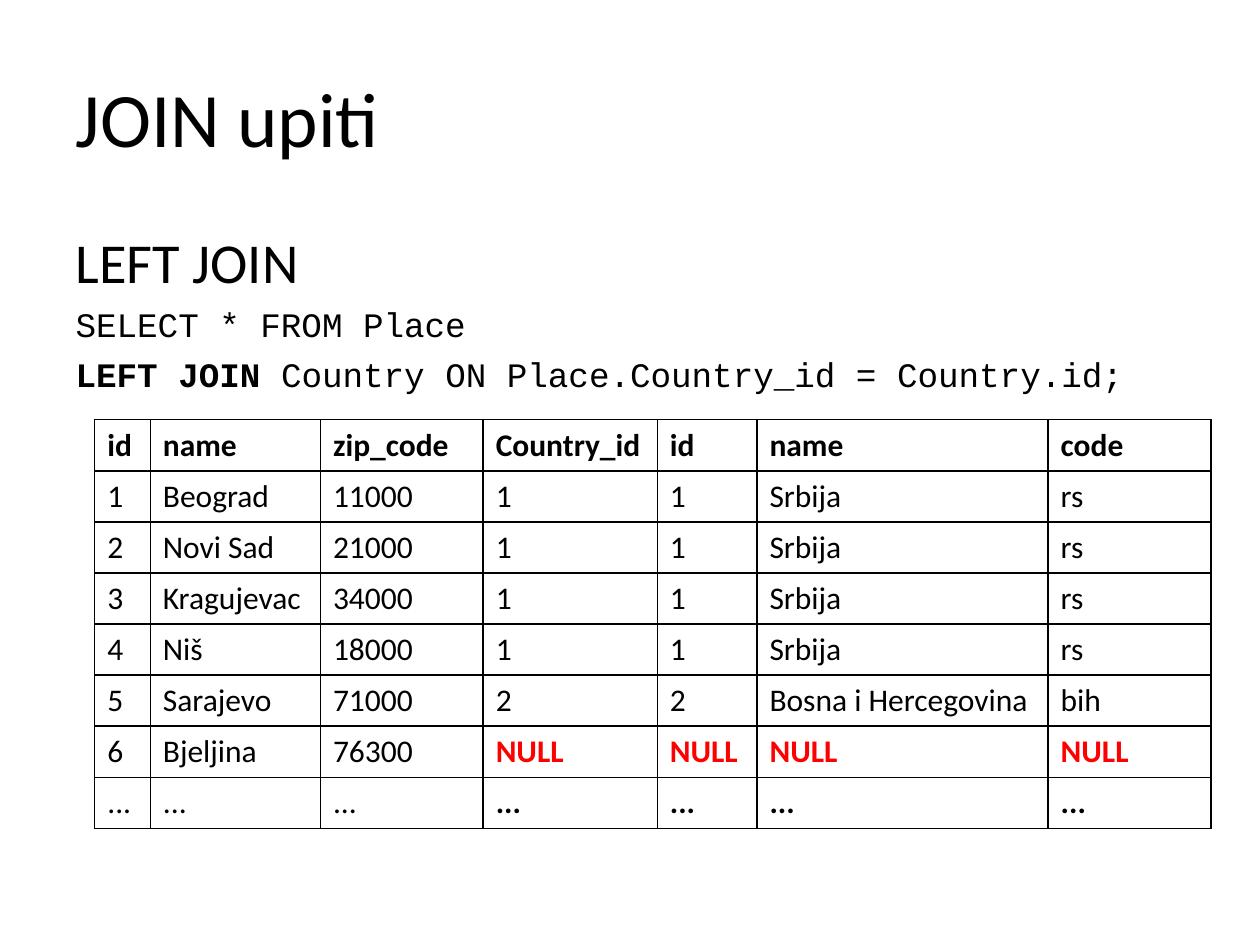
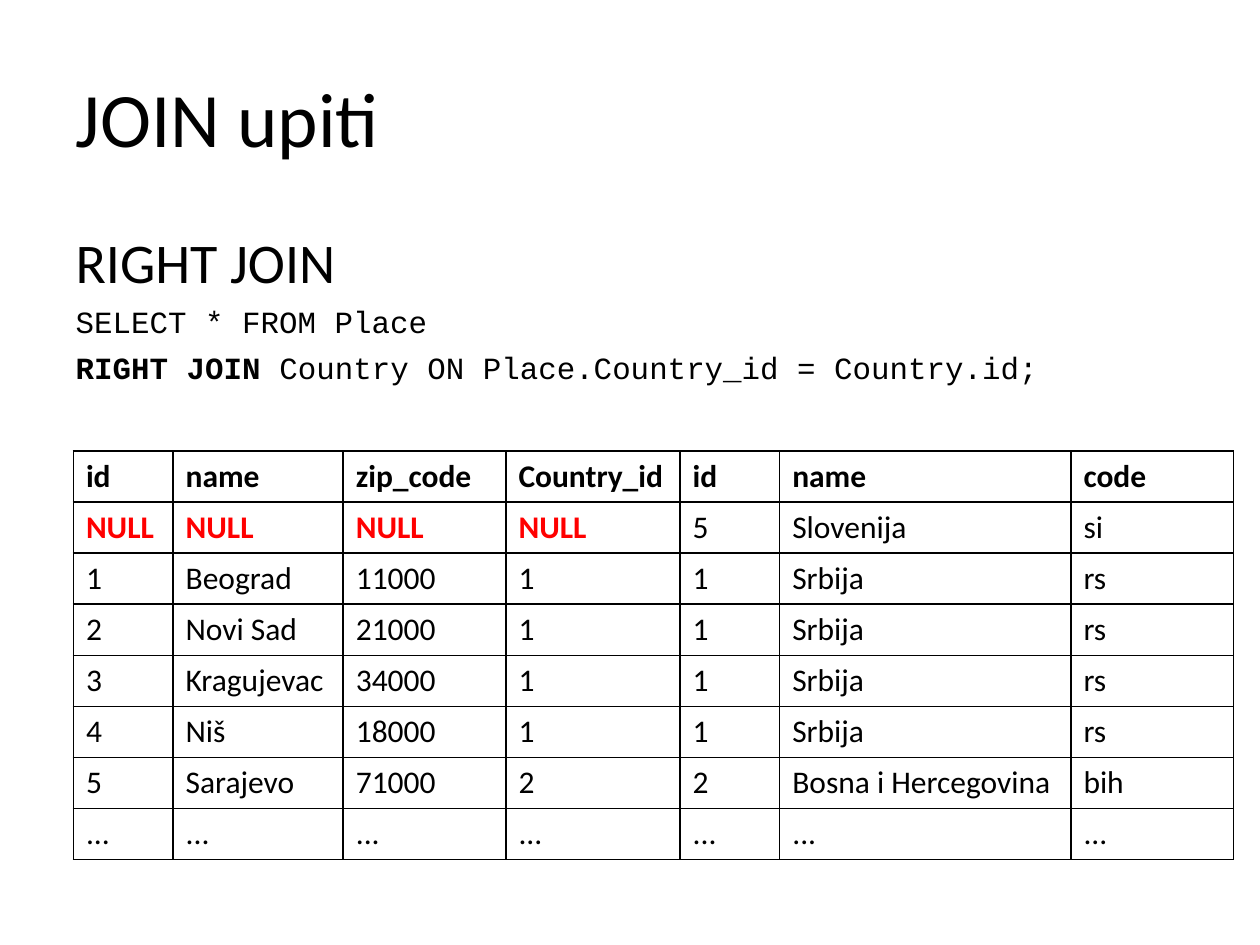
import dataclasses

import lxml.etree
import pptx
import pptx.dml.color
import pptx.enum.text
import pptx.oxml.ns
import pptx.util

Cm = pptx.util.Cm
Pt = pptx.util.Pt


@dataclasses.dataclass(frozen=True)
class Theme:
    text: str = "000000"
    null: str = "FF0000"
    border: str = "000000"
    font: str = "Calibri"
    code_font: str = "Courier New"
    title_size: float = 44
    cell_size: float = 18
    heading_space: float = 2
    code_space: float = 5
    border_width: float = 1


THEME = Theme()

# Shared geometry, in centimetres
CONTENT_LEFT, CONTENT_WIDTH = 1.27, 22.86
TITLE_TOP, TITLE_HEIGHT = 0.76, 3.18
BODY_TOP, BODY_HEIGHT = 4.45, 3.81
ROW_HEIGHT = 1.03
NARROW_ID_WIDTH, WIDE_ID_WIDTH = 1.12, 2.01
OTHER_WIDTHS = [3.43, 3.28, 3.51, WIDE_ID_WIDTH, 5.87, 3.28]

# Query results
HEADER = ["id", "name", "zip_code", "Country_id", "id", "name", "code"]
SERBIA = ["1", "1", "Srbija", "rs"]
MATCHED_ROWS = [
    ["1", "Beograd", "11000", *SERBIA],
    ["2", "Novi Sad", "21000", *SERBIA],
    ["3", "Kragujevac", "34000", *SERBIA],
    ["4", "Niš", "18000", *SERBIA],
    ["5", "Sarajevo", "71000", "2", "2", "Bosna i Hercegovina", "bih"],
]
PLACE_WITHOUT_COUNTRY = ["6", "Bjeljina", "76300"] + ["NULL"] * 4
COUNTRY_WITHOUT_PLACE = ["NULL"] * 4 + ["5", "Slovenija", "si"]
MORE_ROWS = ["..."] * len(HEADER)


def add_text(paragraph, text, size, font=THEME.font, color=THEME.text, bold=False):
    run = paragraph.add_run()
    run.text = text
    run.font.size = Pt(size)
    run.font.name = font
    run.font.bold = bold
    run.font.color.rgb = pptx.dml.color.RGBColor.from_string(color)


def place(shape, top, height):
    shape.left, shape.width = Cm(CONTENT_LEFT), Cm(CONTENT_WIDTH)
    shape.top, shape.height = Cm(top), Cm(height)
    shape.text_frame.auto_size = pptx.enum.text.MSO_AUTO_SIZE.NONE
    shape.text_frame.word_wrap = True


def fill_title(slide, text):
    title = slide.shapes.title
    place(title, TITLE_TOP, TITLE_HEIGHT)
    title.text_frame.vertical_anchor = pptx.enum.text.MSO_ANCHOR.MIDDLE
    paragraph = title.text_frame.paragraphs[0]
    paragraph.alignment = pptx.enum.text.PP_ALIGN.LEFT
    add_text(paragraph, text, THEME.title_size)


def format_plain_paragraph(paragraph, space_before):
    """Removes the bullet and its indent."""
    paragraph.space_before = Pt(space_before)
    properties = paragraph._p.get_or_add_pPr()
    properties.set("marL", "0")
    properties.set("indent", "0")
    lxml.etree.SubElement(properties, pptx.oxml.ns.qn("a:buNone"))


def fill_query(slide, join, heading_size, code_size):
    body = slide.placeholders[1]
    place(body, BODY_TOP, BODY_HEIGHT)
    frame = body.text_frame
    heading = frame.paragraphs[0]
    select_line, join_line = frame.add_paragraph(), frame.add_paragraph()
    format_plain_paragraph(heading, THEME.heading_space)
    for paragraph in (select_line, join_line):
        format_plain_paragraph(paragraph, THEME.code_space)

    code = {"size": code_size, "font": THEME.code_font}
    add_text(heading, join, heading_size)
    add_text(select_line, "SELECT * FROM Place", **code)
    add_text(join_line, join, bold=True, **code)
    add_text(join_line, " Country ON Place.Country_id = Country.id;", **code)


def set_borders(cell):
    properties = cell._tc.get_or_add_tcPr()
    for position, side in enumerate(("lnL", "lnR", "lnT", "lnB")):
        line = lxml.etree.Element(
            pptx.oxml.ns.qn(f"a:{side}"), w=str(Pt(THEME.border_width)))
        fill = lxml.etree.SubElement(line, pptx.oxml.ns.qn("a:solidFill"))
        lxml.etree.SubElement(
            fill, pptx.oxml.ns.qn("a:srgbClr"), val=THEME.border)
        properties.insert(position, line)


def fill_cell(cell, text, bold):
    is_null = text == "NULL"
    cell.fill.background()
    cell.vertical_anchor = pptx.enum.text.MSO_ANCHOR.MIDDLE
    add_text(cell.text_frame.paragraphs[0], text, THEME.cell_size,
             color=THEME.null if is_null else THEME.text, bold=bold or is_null)
    set_borders(cell)


def add_result_table(slide, rows, left, top, id_width, bold_more_from=len(HEADER)):
    """Bold dots in the last row start at column bold_more_from."""
    widths = [id_width, *OTHER_WIDTHS]
    rows = [HEADER, *rows, MORE_ROWS]
    table = slide.shapes.add_table(
        len(rows), len(widths), Cm(left), Cm(top),
        Cm(sum(widths)), Cm(ROW_HEIGHT * len(rows))).table
    table.horz_banding = False
    for column, width in zip(table.columns, widths):
        column.width = Cm(width)
    for row_index, values in enumerate(rows):
        table.rows[row_index].height = Cm(ROW_HEIGHT)
        for column_index, text in enumerate(values):
            bold = row_index == 0 or (
                values is MORE_ROWS and column_index >= bold_more_from)
            fill_cell(table.cell(row_index, column_index), text, bold)


def add_join_slide(presentation, join, heading_size, code_size):
    slide = presentation.slides.add_slide(presentation.slide_layouts[1])
    fill_title(slide, "JOIN upiti")
    fill_query(slide, join, heading_size, code_size)
    return slide


def main():
    presentation = pptx.Presentation()
    presentation.slide_width, presentation.slide_height = Cm(25.4), Cm(19.05)

    # Left join: every place, with or without a country
    slide = add_join_slide(presentation, "LEFT JOIN", 32.2, 19.6)
    add_result_table(slide, [*MATCHED_ROWS, PLACE_WITHOUT_COUNTRY],
                     left=1.91, top=8.46, id_width=NARROW_ID_WIDTH,
                     bold_more_from=3)

    # Right join: every country, with or without a place
    slide = add_join_slide(presentation, "RIGHT JOIN", 32, 17.6)
    add_result_table(slide, [COUNTRY_WITHOUT_PLACE, *MATCHED_ROWS],
                     left=1.48, top=9.09, id_width=WIDE_ID_WIDTH)

    presentation.save("out.pptx")


if __name__ == "__main__":
    main()
